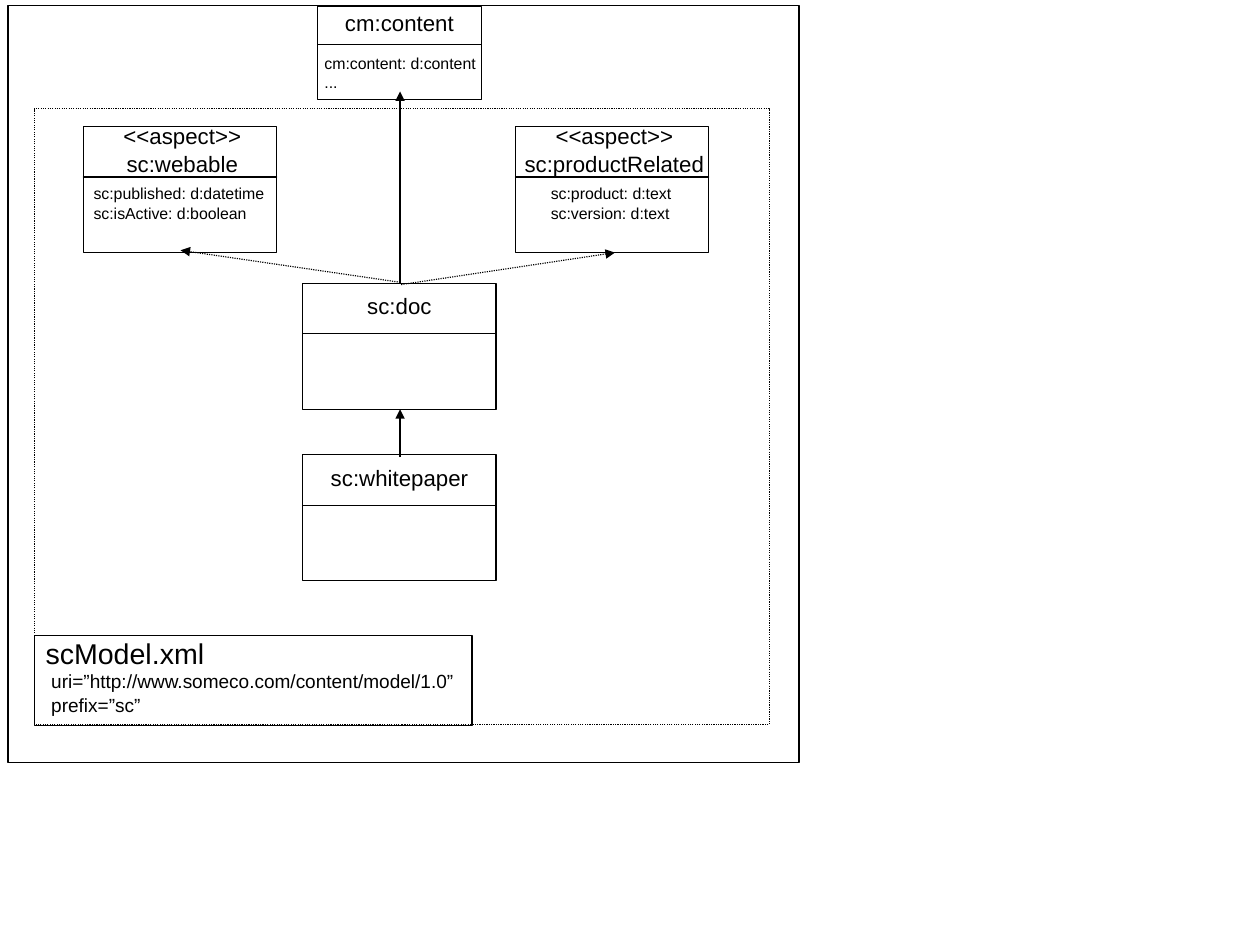
import pptx
import pptx.util
import pptx.dml.color
import pptx.enum.dml
import pptx.enum.shapes
import pptx.enum.text
import pptx.oxml.ns
import lxml.etree

Inches = pptx.util.Inches
Pt = pptx.util.Pt
BLACK = pptx.dml.color.RGBColor(0x00, 0x00, 0x00)
WHITE = pptx.dml.color.RGBColor(0xFF, 0xFF, 0xFF)
LEFT = pptx.enum.text.PP_ALIGN.LEFT
CENTER = pptx.enum.text.PP_ALIGN.CENTER
DOTTED = pptx.enum.dml.MSO_LINE.ROUND_DOT
FONT = "Arial"
CM_PER_INCH = 2.54


def format_line(line, width=0.75, dash=None):
    line.color.rgb = BLACK
    line.width = Pt(width)
    if dash:
        line.dash_style = dash


def add_text(shapes, text, left, top, width, height, size=14, align=LEFT):
    box = shapes.add_textbox(Inches(left), Inches(top), Inches(width), Inches(height))
    frame = box.text_frame
    frame.word_wrap = False
    frame.auto_size = pptx.enum.text.MSO_AUTO_SIZE.SHAPE_TO_FIT_TEXT
    for index, wording in enumerate(text.split("\n")):
        para = frame.paragraphs[0] if index == 0 else frame.add_paragraph()
        para.alignment = align
        para.line_spacing = 1.04
        span = para.add_run()
        span.text = wording
        span.font.name = FONT
        span.font.size = Pt(size)
        span.font.color.rgb = BLACK


def add_frame(shapes, left, top, width, height, fill=None, dash=None):
    box = shapes.add_shape(pptx.enum.shapes.MSO_SHAPE.RECTANGLE,
                           Inches(left), Inches(top), Inches(width), Inches(height))
    box.shadow.inherit = False
    if fill is None:
        box.fill.background()
    else:
        box.fill.solid()
        box.fill.fore_color.rgb = fill
    format_line(box.line, dash=dash)


def add_arrow(shapes, start, end, width=0.75, dash=None):
    arrow = shapes.add_connector(pptx.enum.shapes.MSO_CONNECTOR.STRAIGHT,
                                 *(Inches(value) for value in start + end))
    format_line(arrow.line, width, dash)
    qualify = pptx.oxml.ns.qn
    lxml.etree.SubElement(arrow.line._get_or_add_ln(), qualify("a:tailEnd"), type="triangle")
    lxml.etree.SubElement(arrow._element.spPr, qualify("a:effectLst"))


def add_class(shapes, left, top, name, name_width, width=1.69, height=1.1,
              header=0.44, name_shift=0, fields=None, fields_at=(0, 0), fields_width=0):
    # Outline and divider in one shape
    right, bottom, divider = left + width, top + height, top + header
    builder = shapes.build_freeform(Inches(left), Inches(top))
    corners = [(right, top), (right, bottom), (left, bottom)]
    builder.add_line_segments([(Inches(x), Inches(y)) for x, y in corners], close=True)
    builder.move_to(Inches(left), Inches(divider))
    builder.add_line_segments([(Inches(right), Inches(divider))], close=True)
    outline = builder.convert_to_shape()
    outline.shadow.inherit = False
    outline.fill.background()
    format_line(outline.line)

    # Name centred on the header, fields below the divider
    name_height = 0.34 + 0.24 * name.count("\n")
    add_text(shapes, name, left + (width - name_width) / 2 + name_shift,
             top + (header - name_height) / 2 - 0.03, name_width, name_height, align=CENTER)
    if fields:
        shift_x, shift_y = fields_at
        add_text(shapes, fields, left + shift_x, divider + shift_y,
                 fields_width, 0.45, size=10)


def add_model_label(shapes, left, top, width, height):
    label = shapes.add_group_shape().shapes
    add_frame(label, left, top, width, height)
    add_text(label, "scModel.xml", left, top - 0.06, 1.59, 0.41, size=18)
    add_text(label, "uri=”http://www.someco.com/content/model/1.0”\nprefix=”sc”",
             left + 0.05, top + 0.24, 3.73, 0.51, size=12)


def add_diagram(shapes, left, top, width, height):
    # Outer frame, dotted model frame and its label
    add_frame(shapes, left, top, width, height, fill=WHITE)
    model_left, model_top = left + 0.23, top + 0.9
    add_frame(shapes, model_left, model_top, 6.43, 5.39, fill=WHITE, dash=DOTTED)
    add_model_label(shapes, model_left, model_top + 4.61, 3.83, 0.79)

    # Types, one above the other
    type_left = left + 2.58
    axis = left + 3.43
    doc_top, paper_top = top + 2.43, top + 3.93
    add_class(shapes, left + 2.71, top + 0.01, "cm:content", 1.18, width=1.43,
              height=0.81, header=0.33, fields="cm:content: d:content\n...",
              fields_at=(-0.04, 0.02), fields_width=1.52)
    add_class(shapes, type_left, doc_top, "sc:doc", 0.8)
    add_class(shapes, type_left, paper_top, "sc:whitepaper", 1.42)

    # Aspects, side by side
    aspect_top = top + 1.06
    add_class(shapes, left + 0.66, aspect_top, "<<aspect>>\nsc:webable", 1.25,
              name_shift=0.02, fields="sc:published: d:datetime\nsc:isActive: d:boolean",
              fields_at=(-0.01, 0), fields_width=1.69)
    add_class(shapes, left + 4.44, aspect_top, "<<aspect>>\nsc:productRelated", 1.79,
              name_shift=0.02, fields="sc:product: d:text\nsc:version: d:text",
              fields_at=(0.21, 0), fields_width=1.25)

    # Inheritance arrows (solid) and aspect arrows (dotted)
    add_arrow(shapes, (axis, paper_top + 0.02), (axis, doc_top + 1.1), width=1.45)
    add_arrow(shapes, (axis, doc_top), (axis, top + 0.75), width=1.45)
    add_arrow(shapes, (axis, doc_top - 0.01), (left + 1.51, top + 2.14), dash=DOTTED)
    add_arrow(shapes, (axis + 0.01, doc_top + 0.01), (left + 5.31, top + 2.16), dash=DOTTED)


def main():
    deck = pptx.Presentation()
    # A page of 28 by 21 centimetres
    deck.slide_width = Inches(28 / CM_PER_INCH)
    deck.slide_height = Inches(21 / CM_PER_INCH)
    page = deck.slides.add_slide(deck.slide_layouts[6])
    add_diagram(page.shapes, 0.07, 0.05, 6.92, 6.62)
    deck.save("out.pptx")


if __name__ == "__main__":
    main()
